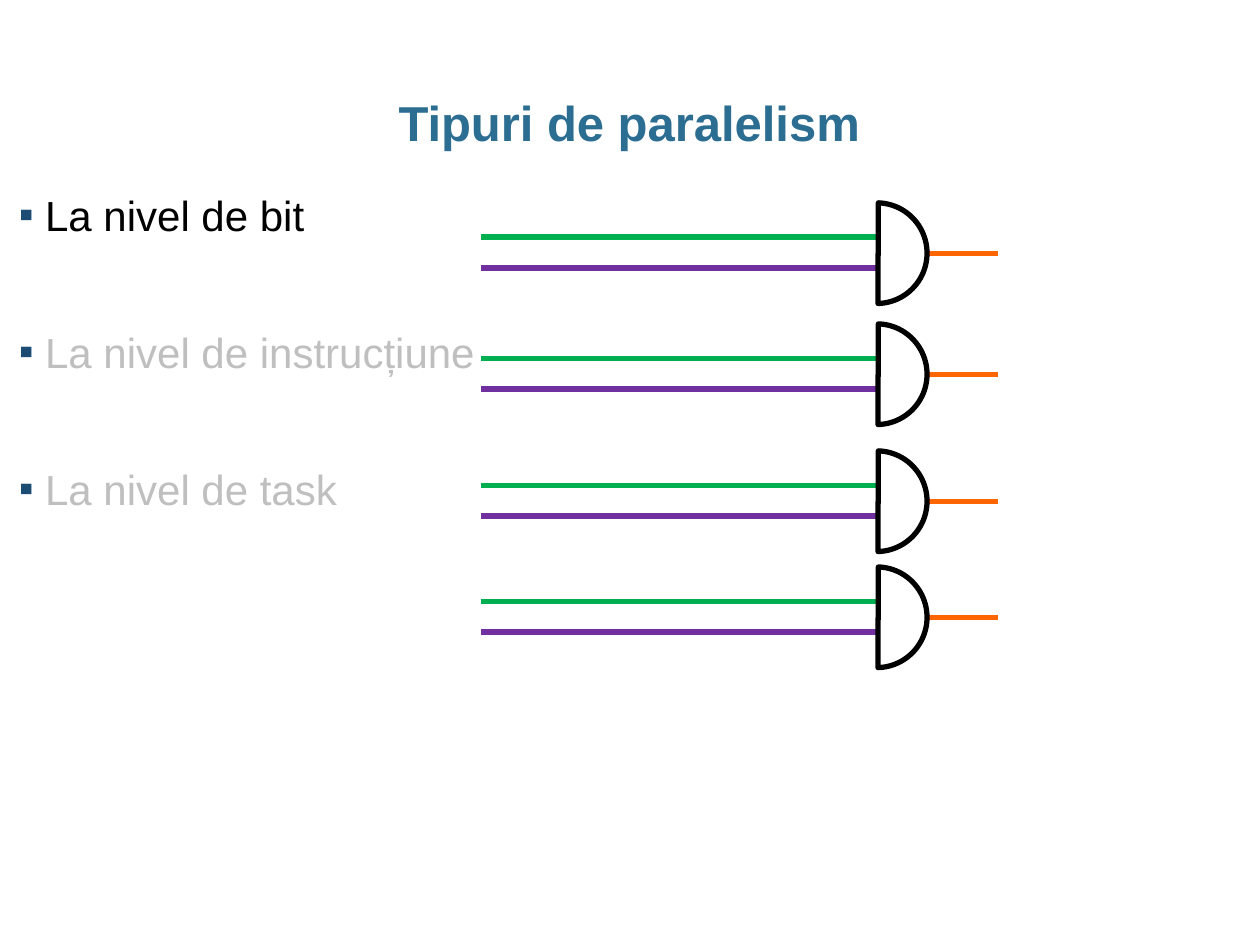
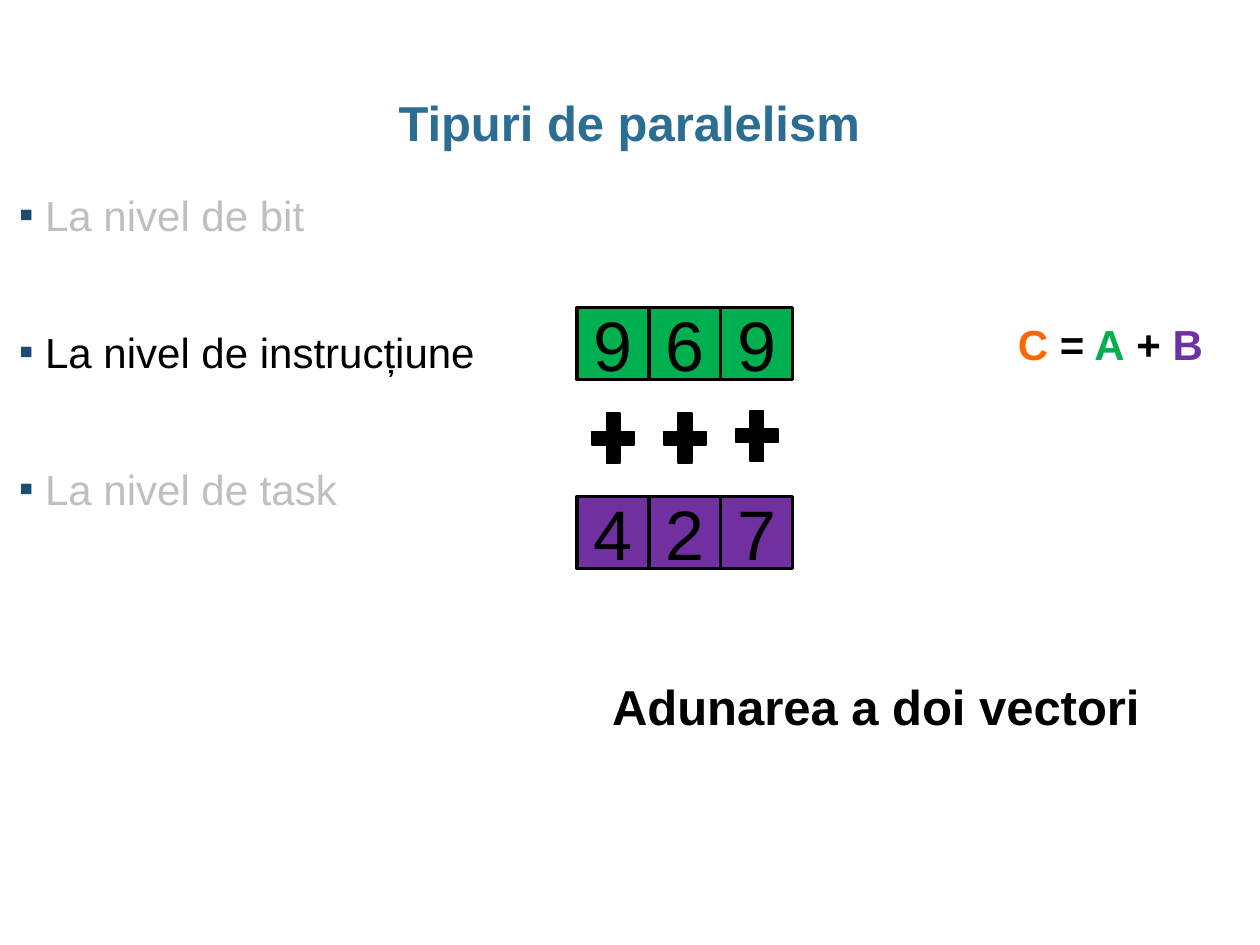
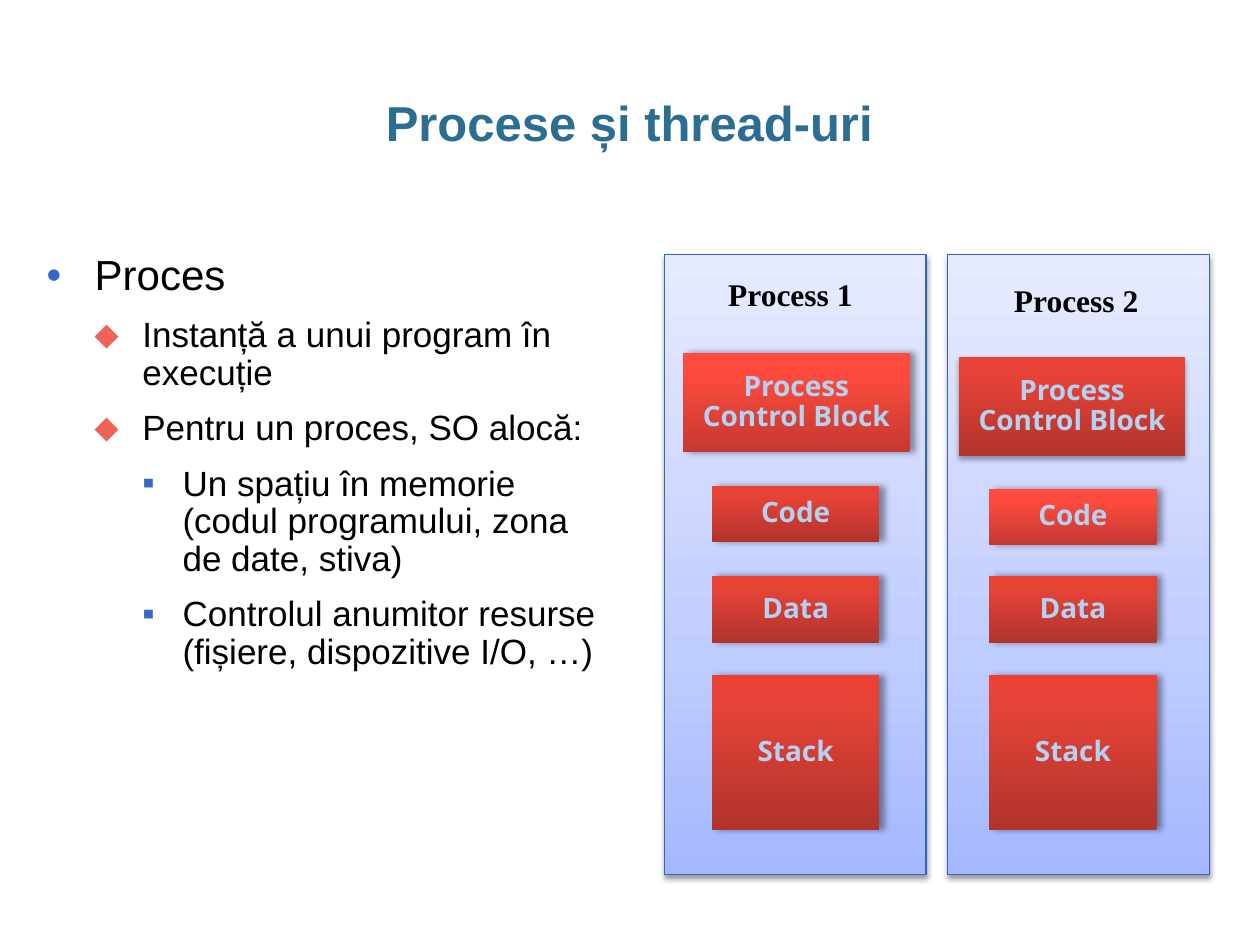
"""Build three slides about kinds of parallelism and about processes."""
from lxml.etree import SubElement
from pptx import Presentation
from pptx.dml.color import RGBColor as Rgb
from pptx.enum.shapes import MSO_CONNECTOR as Link, MSO_SHAPE as Shape
from pptx.enum.text import MSO_ANCHOR as Anchor, MSO_AUTO_SIZE as AutoSize, PP_ALIGN as Align
from pptx.oxml import parse_xml
from pptx.oxml.ns import nsdecls, qn
from pptx.util import Cm, Pt

COLORS = {
    "title": "2C6D92", "text": "000000", "muted": "BFBFBF",
    "green": "00B050", "purple": "7030A0", "orange": "FF6600",
    "navy": "1C4C74", "blue": "3568C7", "coral": "F06157",
    "panel_line": "3065C6", "block_text": "B3D1F0",
}
GRADIENTS = {
    "panel": [(0, "A5B8FF"), (35, "BFCCFF"), (100, "E7EBFF")],
    "dark": [(0, "B1332B"), (80, "E64337"), (100, "EB4034")],
    "bright": [(0, "C43930"), (80, "FF4B3E"), (100, "FF4C3F")],
}
SHADOWS = {"panel": (38, 3.1, 1.6, 90), "side": (40, 4, 3, 0), "below": (35, 3.1, 1.8, 90)}


def write(para, text, size, color="text", bold=False, font="Arial"):
    """Add one formatted run to a paragraph."""
    span = para.add_run()
    span.text = text
    span.font.size = Pt(size)
    span.font.name = font
    span.font.bold = bold
    span.font.color.rgb = Rgb.from_string(COLORS[color])


def add_glossy(shapes, left, top, width, height, gradient, shadow):
    """Add a rectangle with an upward gradient and a soft shadow."""
    box = shapes.add_shape(Shape.RECTANGLE, Cm(left), Cm(top), Cm(width), Cm(height))
    stops = "".join(
        f'<a:gs pos="{place * 1000}"><a:srgbClr val="{color}"/></a:gs>'
        for place, color in GRADIENTS[gradient])
    properties = box._element.spPr
    properties.find(qn("a:prstGeom")).addnext(parse_xml(
        f'<a:gradFill {nsdecls("a")} rotWithShape="1"><a:gsLst>{stops}</a:gsLst>'
        '<a:lin ang="16200000" scaled="0"/></a:gradFill>'))
    box.line.fill.background()
    alpha, blur, distance, angle = SHADOWS[shadow]
    properties.append(parse_xml(
        f'<a:effectLst {nsdecls("a")}><a:outerShdw blurRad="{Pt(blur)}" dist="{Pt(distance)}" '
        f'dir="{angle * 60000}" rotWithShape="0"><a:srgbClr val="000000">'
        f'<a:alpha val="{alpha * 1000}"/></a:srgbClr></a:outerShdw></a:effectLst>'))
    return box


deck = Presentation()
deck.slide_width, deck.slide_height = Cm(25.4), Cm(19.05)

kinds = ["La nivel de bit", "La nivel de instrucțiune", "La nivel de task"]
process_items = [
    (0, "Proces"),
    (1, "Instanță a unui program în execuție"),
    (1, "Pentru un proces, SO alocă:"),
    (2, "Un spațiu în memorie (codul programului, zona de date, stiva)"),
    (2, "Controlul anumitor resurse (fișiere, dispozitive I/O, …)"),
]
kind_style = [("▪", "navy", 0.53, 0.53, 24)]
process_styles = [
    ("•", "blue", 0.97, 0.97, 24),
    ("⬥", "coral", 1.93, 0.97, 20),
    ("▪", "blue", 2.74, 0.81, 20),
]
kind_frame = (0.38, 3.61, 23.67, 14.15, 0)
process_frame = (0.69, 4.93, 11.86, 13.41, 0.25)
outlines = []
for active in kinds[:2]:
    items = [(0, kind, "text" if kind == active else "muted") for kind in kinds]
    outlines.append(("Tipuri de paralelism", kind_frame, kind_style, items, 49.5, 0, 1.0))
items = [(level, text, "text") for level, text in process_items]
outlines.append(("Procese și thread-uri", process_frame, process_styles, items, 4, 6, 0.9))

pages = []
for heading, frame, styles, items, before, after, spacing in outlines:
    page = deck.slides.add_slide(deck.slide_layouts[1])
    pages.append(page)
    title, body = page.shapes.title, page.placeholders[1]
    left, top, width, height, inset = frame
    for holder, place, side in (
            (title, (0.86, 1.73, 23.65, 1.27), 0), (body, (left, top, width, height), inset)):
        holder.left, holder.top, holder.width, holder.height = map(Cm, place)
        text_frame = holder.text_frame
        text_frame.auto_size = AutoSize.NONE
        text_frame.word_wrap = True
        text_frame.vertical_anchor = Anchor.TOP
        text_frame.margin_left = text_frame.margin_right = Cm(side)
        text_frame.margin_top = Cm(0.13 if holder is title else 0.2)
    para = title.text_frame.paragraphs[0]
    para.alignment = Align.CENTER
    write(para, heading, 28, "title", True)

    for index, (level, text, color) in enumerate(items):
        para = body.text_frame.add_paragraph() if index else body.text_frame.paragraphs[0]
        symbol, symbol_color, indent, hang, size = styles[level]
        para.level = level
        properties = para._p.get_or_add_pPr()
        properties.set("marL", str(Cm(indent)))
        properties.set("indent", str(-Cm(hang)))
        bullet_color = SubElement(properties, qn("a:buClr"))
        SubElement(bullet_color, qn("a:srgbClr")).set("val", COLORS[symbol_color])
        SubElement(properties, qn("a:buFont")).set("typeface", "Arial")
        SubElement(properties, qn("a:buChar")).set("char", symbol)
        para.line_spacing = spacing
        para.space_before = Pt(before if index else 0)
        para.space_after = Pt(after)
        write(para, text, size, color)

bit_page, instruction_page, process_page = pages

wires = [("purple", 9.7, 17.68, 1.31), ("green", 9.7, 17.68, 0.69), ("orange", 18.69, 20.12, 1.02)]
for gate_top in (4.09, 6.53, 9.09, 11.43):
    for color, start, end, drop in wires:
        level = Cm(gate_top + drop)
        wire = bit_page.shapes.add_connector(Link.STRAIGHT, Cm(start), level, Cm(end), level)
        wire.line.color.rgb = Rgb.from_string(COLORS[color])
        wire.line.width = Pt(3)
        SubElement(wire._element.spPr, qn("a:effectLst"))
    gate = bit_page.shapes.add_shape(Shape.CHORD, Cm(16.66), Cm(gate_top), Cm(2.03), Cm(2.03))
    gate.adjustments[0], gate.adjustments[1] = 163.11, 53.15
    gate.shadow.inherit = False
    gate.fill.background()
    gate.line.color.rgb = Rgb.from_string(COLORS["text"])
    gate.line.width = Pt(3)

cell_size = 1.45
for digits, color, top in (("969", "green", 6.2), ("427", "purple", 10.01)):
    for column, digit in enumerate(digits):
        cell = instruction_page.shapes.add_shape(
            Shape.RECTANGLE, Cm(11.63 + column * cell_size), Cm(top), Cm(cell_size), Cm(cell_size))
        cell.shadow.inherit = False
        cell.fill.solid()
        cell.fill.fore_color.rgb = Rgb.from_string(COLORS[color])
        cell.line.color.rgb = Rgb.from_string(COLORS["text"])
        cell.line.width = Pt(2)
        cell.text_frame.vertical_anchor = Anchor.MIDDLE
        para = cell.text_frame.paragraphs[0]
        para.alignment = Align.CENTER
        write(para, digit, 40)

for column, top in enumerate((8.15, 8.15, 8.1)):
    plus = instruction_page.shapes.add_shape(
        Shape.MATH_PLUS, Cm(11.79 + column * cell_size), Cm(top), Cm(1.14), Cm(1.37))
    plus.shadow.inherit = False
    plus.fill.solid()
    plus.fill.fore_color.rgb = Rgb.from_string(COLORS["text"])
    plus.line.color.rgb = Rgb.from_string(COLORS["text"])
    plus.line.width = Pt(1)

formula = instruction_page.shapes.add_textbox(Cm(17.73), Cm(6.3), Cm(6.83), Cm(4.37))
formula.text_frame.word_wrap = True
para = formula.text_frame.paragraphs[0]
para._p.get_or_add_pPr().set("marL", str(Cm(2.54)))
for text, color in (("C ", "orange"), ("=", "text"), (" A", "green"), (" + ", "text"), ("B", "purple")):
    write(para, text, 24, color, True)

caption = instruction_page.shapes.add_textbox(Cm(12.09), Cm(13.51), Cm(11.28), Cm(1.45))
caption.text_frame.word_wrap = False
write(caption.text_frame.paragraphs[0], "Adunarea a doi vectori", 28, "text", True)

processes = [
    ("Process 1", 13.39, (14.43, 5.41, 3.23), 13.77, 14.35,
     (7.11, "bright", "side"), (9.8, "dark")),
    ("Process 2", 19.1, (20.19, 5.54, 3.1), 19.33, 19.94,
     (7.19, "dark", "below"), (9.86, "bright")),
]
for name, panel_left, label_place, control_left, block_left, control, code in processes:
    group = process_page.shapes.add_group_shape()
    panel = add_glossy(group.shapes, panel_left, 5.13, 5.28, 12.5, "panel", "panel")
    panel.line.color.rgb = Rgb.from_string(COLORS["panel_line"])
    panel.line.width = Pt(0.75)
    control_top, control_gradient, control_shadow = control
    code_top, code_gradient = code
    blocks = [
        (["Process", "Control Block"], control_left, control_top, 4.57, 2.01,
         control_gradient, control_shadow),
        (["Code"], block_left, code_top, 3.38, 1.12, code_gradient, "side"),
        (["Data"], block_left, 11.61, 3.38, 1.35, "dark", "side"),
        (["Stack"], block_left, 13.61, 3.38, 3.12, "dark", "side"),
    ]
    for lines, *look in blocks:
        block = add_glossy(group.shapes, *look)
        block.text_frame.word_wrap = False
        block.text_frame.vertical_anchor = Anchor.MIDDLE
        for index, line in enumerate(lines):
            para = block.text_frame.add_paragraph() if index else block.text_frame.paragraphs[0]
            para.alignment = Align.CENTER
            para.line_spacing = 0.9
            write(para, line, 16, "block_text", True, "Noto Sans")
    left, top, width = label_place
    label = group.shapes.add_textbox(Cm(left), Cm(top), Cm(width), Cm(1.02))
    label.text_frame.word_wrap = True
    write(label.text_frame.paragraphs[0], name, 18, "text", True, "Times New Roman")

deck.save("out.pptx")
